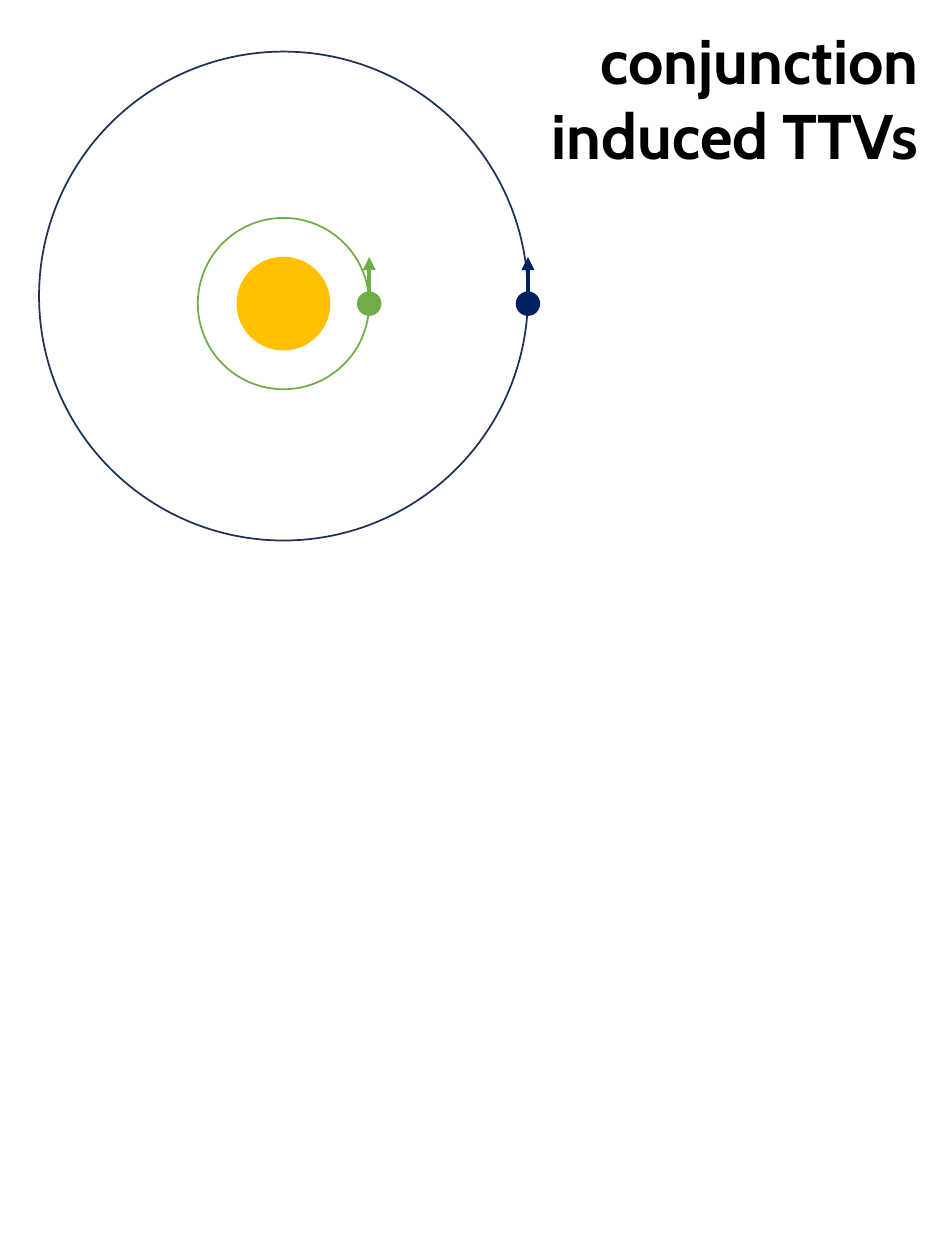
import pptx
import pptx.util
import pptx.dml.color
import pptx.enum.shapes
import pptx.enum.text
import pptx.oxml.ns
import lxml.etree

Inches, Pt = pptx.util.Inches, pptx.util.Pt
COLORS = {"outer_orbit": "1E3256", "outer": "002060", "inner": "70AD47",
          "star": "FFC000", "text": "000000"}


def rgb(name):
    """Return the named colour."""
    return pptx.dml.color.RGBColor.from_string(COLORS[name])


def add_circle(shapes, cx, cy, diameter, color, filled=True):
    """Draw a circle about a centre, filled or as an outline."""
    sp = shapes.add_shape(pptx.enum.shapes.MSO_SHAPE.OVAL,
                          Inches(cx - diameter / 2), Inches(cy - diameter / 2),
                          Inches(diameter), Inches(diameter))
    sp.shadow.inherit = False
    if filled:
        sp.fill.solid()
        sp.fill.fore_color.rgb = rgb(color)
    else:
        sp.fill.background()
    sp.line.color.rgb = rgb(color)
    sp.line.width = Pt(1)


def add_velocity(shapes, x, y, length, color):
    """Draw an upward arrow from a point."""
    line = shapes.add_connector(pptx.enum.shapes.MSO_CONNECTOR.STRAIGHT,
                                Inches(x), Inches(y), Inches(x), Inches(y - length))
    line.line.color.rgb = rgb(color)
    line.line.width = Pt(2.5)
    qn = pptx.oxml.ns.qn
    lxml.etree.SubElement(line.line._get_or_add_ln(), qn("a:tailEnd"), type="triangle")
    lxml.etree.SubElement(line._element.spPr, qn("a:effectLst"))


def add_system(s, left, top, size):
    """Draw the star, both orbits and both planets in a square box."""
    shapes = s.shapes.add_group_shape().shapes
    cx, cy = left + size / 2, top + size / 2
    star_y = cy + 0.06
    planet = 0.18
    planets = [("outer", size / 2), ("inner", 0.68)]
    add_circle(shapes, cx, cy, size, "outer_orbit", filled=False)
    for color, radius in planets:
        add_circle(shapes, cx + radius, star_y, planet, color)
    add_circle(shapes, cx, star_y, 2 * planets[1][1], "inner", filled=False)
    add_circle(shapes, cx, star_y, 0.73, "star")
    for color, radius in planets:
        add_velocity(shapes, cx + radius, star_y - planet / 2, 0.28, color)


def add_title(s, left, top, width, height, lines):
    """Write the right-aligned title lines in a box."""
    tf = s.shapes.add_textbox(Inches(left), Inches(top),
                              Inches(width), Inches(height)).text_frame
    tf.word_wrap = False
    tf.auto_size = pptx.enum.text.MSO_AUTO_SIZE.SHAPE_TO_FIT_TEXT
    tf.text = "\n".join(lines)
    for p in tf.paragraphs:
        p.alignment = pptx.enum.text.PP_ALIGN.RIGHT
        p.font.name = "Cabin"
        p.font.size = Pt(36)
        p.font.bold = True
        p.font.color.rgb = rgb("text")


prs = pptx.Presentation()
prs.slide_width, prs.slide_height = Inches(7.5), Inches(10)
s = prs.slides.add_slide(prs.slide_layouts[6])
add_system(s, 0.31, 0.41, 3.88)
add_title(s, 4.03, 0.12, 3.36, 1.31, ["conjunction", "induced TTVs"])
prs.save("out.pptx")
